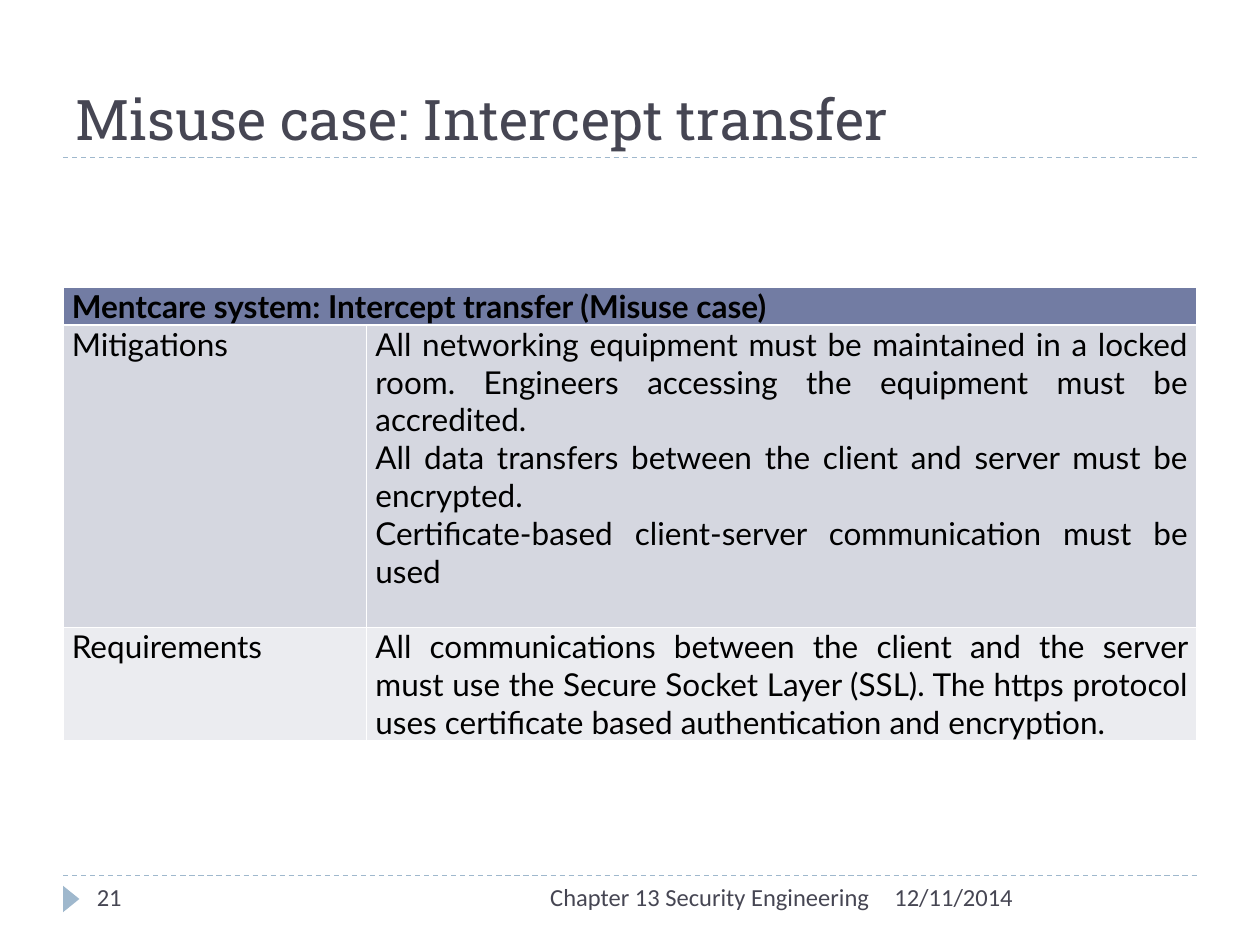
from lxml import etree
from pptx import Presentation
from pptx.dml.color import RGBColor
from pptx.enum.dml import MSO_LINE
from pptx.enum.shapes import MSO_CONNECTOR, MSO_SHAPE
from pptx.enum.text import MSO_ANCHOR, PP_ALIGN
from pptx.oxml.ns import qn
from pptx.util import Inches, Pt

STRAIGHT = MSO_CONNECTOR.STRAIGHT
TRIANGLE = MSO_SHAPE.ISOSCELES_TRIANGLE
DASH = MSO_LINE.DASH
TOP, BOTTOM = MSO_ANCHOR.TOP, MSO_ANCHOR.BOTTOM
LEFT, RIGHT, JUSTIFY = PP_ALIGN.LEFT, PP_ALIGN.RIGHT, PP_ALIGN.JUSTIFY

INK, ACCENT, BLACK, WHITE = "464653", "9FB8CD", "000000", "FFFFFF"

TEXTS = [
    ("Misuse case: Intercept transfer", (0.5, 0.17, 9, 1.08), "Roboto Slab", 32, LEFT, BOTTOM),
    ("12/11/2014", (7, 6.95, 2.5, 0.4), "Calibri", 14, LEFT, TOP),
    ("Chapter 13 Security Engineering", (3.17, 6.95, 3.83, 0.4), "Calibri", 14, RIGHT, TOP),
    ("21", (0.67, 6.95, 2.17, 0.4), "Calibri", 14, LEFT, TOP),
]
RULE_TOPS = [1.25, 6.95]
COLUMN_WIDTHS = [2.41, 6.59]
ROWS = [
    (0.3, "727CA3", [["Mentcare system: Intercept transfer (Misuse case)"], []]),
    (2.4, "D5D7E0", [
        ["Mitigations"],
        [
            "All networking equipment must be maintained in a locked room. "
            "Engineers accessing the equipment must be accredited.",
            "All data transfers between the client and server must be encrypted.",
            "Certificate-based client-server communication must be used",
        ],
    ]),
    (0.9, "EBECF0", [
        ["Requirements"],
        [
            "All communications between the client and the server must use the "
            "Secure Socket Layer (SSL). The https protocol uses certificate based "
            "authentication and encryption.",
        ],
    ]),
]


def color(value):
    return RGBColor.from_string(value)


def style(paragraph, name, size, ink, alignment, bold=False):
    paragraph.alignment = alignment
    font = paragraph.font
    font.name, font.size, font.bold = name, Pt(size), bold
    font.color.rgb = color(ink)


def add_text(slide, text, box, name, size, alignment, anchor):
    frame = slide.shapes.add_textbox(*map(Inches, box)).text_frame
    frame.word_wrap = True
    frame.vertical_anchor = anchor
    frame.text = text
    style(frame.paragraphs[0], name, size, INK, alignment)


def add_rule(slide, top):
    rule = slide.shapes.add_connector(
        STRAIGHT, Inches(0.5), Inches(top), Inches(9.5), Inches(top))
    rule.line.color.rgb = color(ACCENT)
    rule.line.width = Pt(0.75)
    rule.line.dash_style = DASH
    etree.SubElement(rule._element.spPr, qn("a:effectLst"))


def add_borders(cell):
    properties = cell._tc.get_or_add_tcPr()
    for side in ("lnL", "lnR", "lnT", "lnB"):
        line = etree.SubElement(properties, qn("a:" + side), w=str(Pt(1)))
        fill = etree.SubElement(line, qn("a:solidFill"))
        etree.SubElement(fill, qn("a:srgbClr"), val=WHITE)


def fill_cell(cell, paragraphs, fill, bold):
    add_borders(cell)
    cell.fill.solid()
    cell.fill.fore_color.rgb = color(fill)
    cell.margin_left = cell.margin_right = Inches(0.07)
    cell.margin_top = cell.margin_bottom = 0
    cell.text = "\n".join(paragraphs)
    for paragraph in cell.text_frame.paragraphs:
        style(paragraph, "Lato", 18, BLACK, JUSTIFY, bold)


def add_misuse_table(slide):
    height = sum(row[0] for row in ROWS)
    table = slide.shapes.add_table(
        len(ROWS), len(COLUMN_WIDTHS), Inches(0.5), Inches(2.28),
        Inches(sum(COLUMN_WIDTHS)), Inches(height)).table
    for column, width in zip(table.columns, COLUMN_WIDTHS):
        column.width = Inches(width)
    for index, (row_height, fill, cells) in enumerate(ROWS):
        table.rows[index].height = Inches(row_height)
        for cell, paragraphs in zip(table.rows[index].cells, cells):
            fill_cell(cell, paragraphs, fill, index == 0)
    table.cell(0, 0).merge(table.cell(0, 1))


def main():
    presentation = Presentation()
    presentation.slide_width, presentation.slide_height = Inches(10), Inches(7.5)
    slide = presentation.slides.add_slide(presentation.slide_layouts[6])
    for top in RULE_TOPS:
        add_rule(slide, top)
    marker = slide.shapes.add_shape(
        TRIANGLE, Inches(0.46), Inches(7.07), Inches(0.21), Inches(0.13))
    marker.rotation = 90
    marker.shadow.inherit = False
    marker.fill.solid()
    marker.fill.fore_color.rgb = color(ACCENT)
    marker.line.fill.background()
    for text in TEXTS:
        add_text(slide, *text)
    add_misuse_table(slide)
    presentation.save("out.pptx")


if __name__ == "__main__":
    main()
